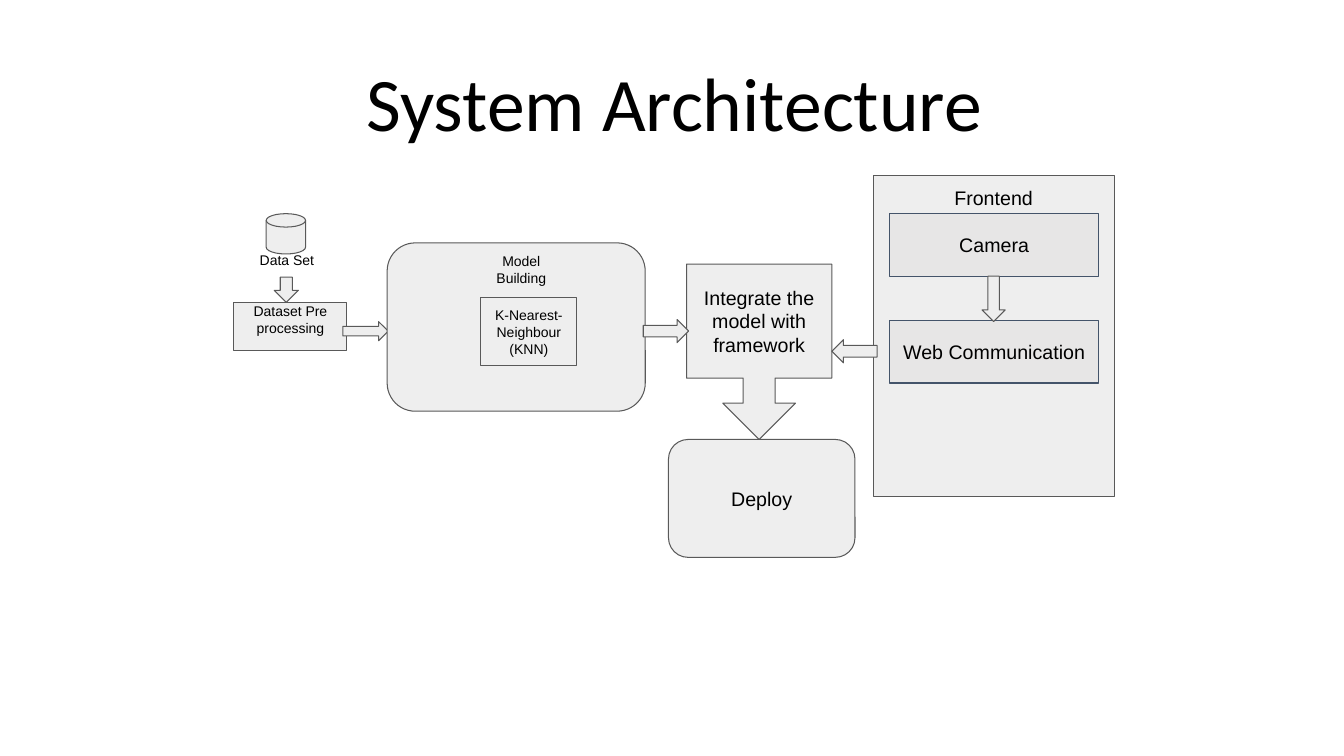
import pptx
import pptx.util
import pptx.dml.color
import pptx.enum.shapes
import pptx.enum.text

Inches = pptx.util.Inches
KIND = pptx.enum.shapes.MSO_SHAPE
ANCHOR = pptx.enum.text.MSO_ANCHOR
GREY, EDGE = "EEEEEE", "595959"
PALE, SLATE = "E7E6E6", "44546A"


def paint(target, color):
    target.rgb = pptx.dml.color.RGBColor.from_string(color)


def write(shape, text, size, font="Arial", anchor=ANCHOR.MIDDLE, sides=0.1, ends=0.1):
    """Set centred black text; sides and ends are the insets in inches."""
    frame = shape.text_frame
    frame.text = text
    form = {
        "word_wrap": True,
        "vertical_anchor": anchor,
        "margin_left": Inches(sides),
        "margin_right": Inches(sides),
        "margin_top": Inches(ends),
        "margin_bottom": Inches(ends),
    }
    for name, value in form.items():
        setattr(frame, name, value)
    for para in frame.paragraphs:
        para.alignment = pptx.enum.text.PP_ALIGN.CENTER
        para.font.size = pptx.util.Pt(size)
        para.font.name = font
        for run in para.runs:
            run.font.size = pptx.util.Pt(size)
            run.font.name = font
            paint(run.font.color, "000000")


deck = pptx.Presentation()
deck.slide_width, deck.slide_height = Inches(13.33), Inches(7.5)
slide = deck.slides.add_slide(deck.slide_layouts[0])
lower = slide.placeholders[1].element
lower.getparent().remove(lower)

title = slide.shapes.title
place = {"left": 1.69, "top": 0.56, "width": 10, "height": 0.96}
for name, value in place.items():
    setattr(title, name, Inches(value))
write(title, "System Architecture", 54, "Calibri", ANCHOR.BOTTOM, ends=0.05)
title.text_frame.paragraphs[0].line_spacing = 0.9

# Kind, box (left, top, width, height), fill, line, text, format of the text
PARTS = [
    (KIND.FLOWCHART_MAGNETIC_DISK, (2.64, 2.12, 0.39, 0.4), GREY, EDGE, "", {}),
    (KIND.DOWN_ARROW, (2.72, 2.75, 0.24, 0.25), GREY, EDGE, "", {}),
    (KIND.RECTANGLE, (2.32, 3, 1.12, 0.48), GREY, EDGE, "Dataset Pre processing",
     {"size": 10, "anchor": ANCHOR.TOP, "ends": 0}),
    (KIND.RIGHT_ARROW, (3.4, 3.19, 0.45, 0.19), GREY, EDGE, "", {}),
    (KIND.ROUNDED_RECTANGLE, (3.84, 2.41, 2.56, 1.67), GREY, EDGE, "", {}),
    (KIND.RECTANGLE, (4.77, 2.95, 0.95, 0.68), GREY, EDGE,
     "K-Nearest-Neighbour\n(KNN)", {"size": 10}),
    (KIND.DOWN_ARROW_CALLOUT, (6.81, 2.62, 1.44, 1.74), GREY, EDGE,
     "Integrate the model with framework", {"size": 14}),
    (KIND.RECTANGLE, (8.66, 1.74, 2.39, 3.19), GREY, EDGE, "Frontend",
     {"size": 14, "anchor": ANCHOR.TOP}),
    (KIND.ROUNDED_RECTANGLE, (6.63, 4.36, 1.85, 1.17), GREY, EDGE, "Deploy",
     {"size": 14}),
    (KIND.RIGHT_ARROW, (6.38, 3.17, 0.45, 0.23), GREY, EDGE, "", {}),
    (KIND.LEFT_ARROW, (8.25, 3.37, 0.45, 0.23), GREY, EDGE, "", {}),
    (KIND.RECTANGLE, (8.82, 3.18, 2.08, 0.62), PALE, SLATE, "Web Communication",
     {"size": 14}),
    (KIND.RECTANGLE, (8.82, 2.12, 2.08, 0.62), PALE, SLATE, "Camera", {"size": 14}),
    (KIND.DOWN_ARROW, (9.74, 2.74, 0.23, 0.45), GREY, EDGE, "", {}),
]
for kind, box, fill, line, text, form in PARTS:
    shape = slide.shapes.add_shape(kind, *map(Inches, box))
    shape.shadow.inherit = False
    shape.fill.solid()
    paint(shape.fill.fore_color, fill)
    paint(shape.line.color, line)
    shape.line.width = pptx.util.Pt(0.75)
    if kind == KIND.DOWN_ARROW_CALLOUT:
        for index, value in enumerate((0.22, 0.25, 0.25, 0.65)):
            shape.adjustments[index] = value
    if text:
        write(shape, text, **form)

LABELS = [
    ("Data Set", (2.44, 2.41, 0.81, 0.54)),
    ("Model Building", (4.63, 2.41, 1.08, 0.54)),
]
for text, box in LABELS:
    label = slide.shapes.add_textbox(*map(Inches, box))
    write(label, text, 10, anchor=ANCHOR.TOP)

deck.save("out.pptx")
